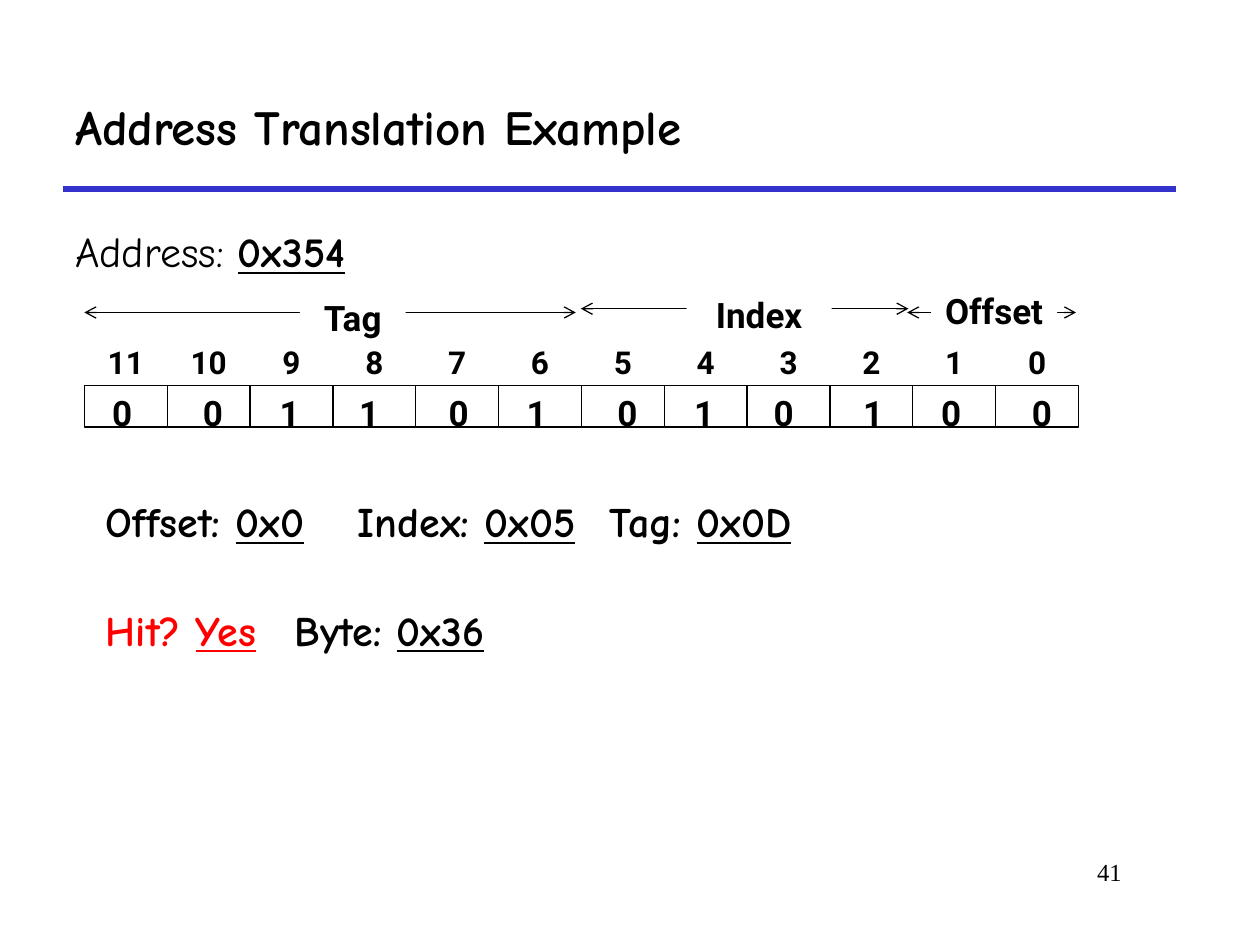
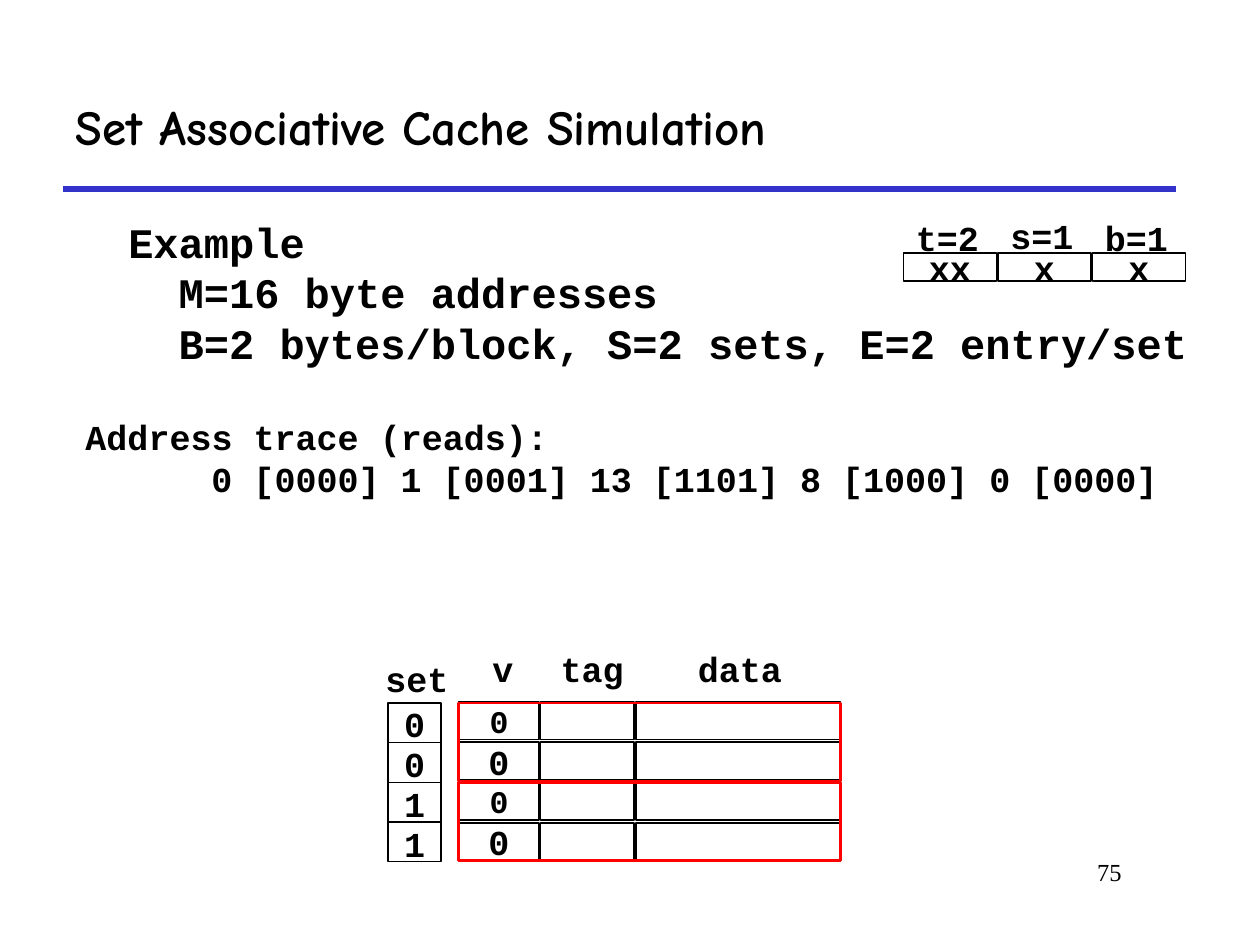
import pptx
import pptx.util
import pptx.dml.color
import pptx.enum.shapes
import pptx.enum.text
import lxml.etree
from pptx.oxml.ns import qn

Inches = pptx.util.Inches
Pt = pptx.util.Pt
ALIGN = pptx.enum.text.PP_ALIGN
MID = pptx.enum.text.MSO_ANCHOR.MIDDLE

BLACK, WHITE, BLUE, RED = "000000", "FFFFFF", "3333CC", "FF0000"
HAND, CODE, SANS, SERIF = "Comic Neue", "Courier New", "Roboto", "Times New Roman"

ADDRESS = [("Address: ", {"bold": False}), ("0x354", {"under": True})]
BITS = "001101010100"
BIT_LEFTS = [0.75, 1.47, 2.08, 2.71, 3.42, 4.04, 4.76, 5.37, 6, 6.71, 7.33, 8.05]
FIELDS = [
    ("Offset", 7.2, 8.54, 2.48, (7.39, 2.29, 1, 0.4)),
    ("Index", 4.61, 7.21, 2.45, (5.45, 2.32, 1.15, 0.4)),
    ("Tag", 0.67, 4.57, 2.48, (2.38, 2.34, 0.84, 0.4)),
]
ANSWERS = [
    ([("Offset: ", "0x0", BLACK), ("Index: ", "0x05", BLACK), ("Tag: ", "0x0D", BLACK)],
     {"tabs": [2.1, 4.32], "lead": 0.9}),
    ([("Hit? ", "Yes", RED), ("Byte: ", "0x36", BLACK)],
     {"tabs": [1.66], "lead": 0.9, "before": 36}),
]

SETUP = [("Example", 0), ("M=16 byte addresses", 0.4),
         ("B=2 bytes/block, S=2 sets, E=2 entry/set", 0.4)]
TRACE = [("Address trace (reads):", 0),
         ("0 [0000] 1 [0001] 13 [1101] 8 [1000] 0 [0000]", 1)]
PARTS = [("t=2", "xx", 1.67), ("s=1", "x", 1.65), ("b=1", "x", 1.67)]
HEADS = [("v", 3.81, 5.09, 0.37), ("tag", 4.35, 5.09, 0.71),
         ("data", 5.44, 5.09, 0.87), ("set", 2.96, 5.17, 0.71)]
COLUMNS = [(3.64, 0.64), (4.29, 0.74), (5.05, 1.62)]
SETS = ["0", "0", "1", "1"]
VALID = [("0", 18), ("0", 20), ("0", 18), ("0", 20)]


def color(code):
    return pptx.dml.color.RGBColor.from_string(code)


def place(spot):
    return [Inches(n) for n in spot]


def write(shape, paras, font, size, align=ALIGN.LEFT, anchor=None, wrap=True):
    frame = shape.text_frame
    frame.word_wrap = wrap
    frame.vertical_anchor = anchor or pptx.enum.text.MSO_ANCHOR.TOP
    for i, (runs, form) in enumerate(paras):
        para = frame.paragraphs[0] if i == 0 else frame.add_paragraph()
        para.alignment = align
        if "lead" in form:
            para.line_spacing = form["lead"]
        if "before" in form:
            para.space_before = Pt(form["before"])
        props = para._p.get_or_add_pPr()
        props.set("marL", str(Inches(form.get("left", 0))))
        props.set("indent", "0")
        if "tabs" in form:
            stops = lxml.etree.SubElement(props, qn("a:tabLst"))
            for stop in form["tabs"]:
                lxml.etree.SubElement(stops, qn("a:tab"), pos=str(Inches(stop)), algn="l")
        for words, style in runs:
            run = para.add_run()
            run.text = words
            run.font.name = font
            run.font.size = Pt(size)
            run.font.bold = style.get("bold", True)
            run.font.underline = style.get("under", False)
            run.font.color.rgb = color(style.get("ink", BLACK))


def text(slide, spot, paras, font, size, **more):
    box = slide.shapes.add_textbox(*place(spot))
    write(box, paras, font, size, **more)
    return box


def label(slide, spot, words, font, size, lead=1.0, **more):
    more.setdefault("wrap", False)
    return text(slide, spot, [([(words, {})], {"lead": lead})], font, size, **more)


def rect(slide, spot, fill=None, ink=BLACK, width=1):
    kind = pptx.enum.shapes.MSO_SHAPE.RECTANGLE
    box = slide.shapes.add_shape(kind, *place(spot))
    box.shadow.inherit = False
    if fill:
        box.fill.solid()
        box.fill.fore_color.rgb = color(fill)
    else:
        box.fill.background()
    if ink:
        box.line.color.rgb = color(ink)
        box.line.width = Pt(width)
    else:
        box.line.fill.background()
    return box


def cell(slide, spot, words="", size=20):
    box = rect(slide, spot, WHITE)
    if words:
        write(box, [([(words, {})], {})], CODE, size, ALIGN.CENTER, MID, False)


def line(slide, start, end, ink=BLACK, width=0.75, arrows=False):
    kind = pptx.enum.shapes.MSO_CONNECTOR.STRAIGHT
    rule = slide.shapes.add_connector(kind, *place(start + end))
    rule.line.color.rgb = color(ink)
    rule.line.width = Pt(width)
    if arrows:
        stroke = rule.line._get_or_add_ln()
        for tip in ("a:headEnd", "a:tailEnd"):
            lxml.etree.SubElement(stroke, qn(tip), type="arrow")
    lxml.etree.SubElement(rule._element.spPr, qn("a:effectLst"))
    return rule


def start(deck, title, number):
    slide = deck.slides.add_slide(deck.slide_layouts[6])
    line(slide, (0.5, 1.5), (9.33, 1.5), BLUE, 3)
    text(slide, (7.58, 6.75, 1.42, 0.5), [([(number, {"bold": False})], {})],
         SERIF, 14, align=ALIGN.RIGHT)
    label(slide, (0.5, 0.5, 8.83, 1), title, HAND, 28, anchor=MID, wrap=True)
    return slide


def address(deck):
    slide = start(deck, "Address Translation Example", "41")
    text(slide, (0.5, 1.58, 2.73, 0.61), [(ADDRESS, {"lead": 1.4})], HAND, 24)
    wide = 7.89 / len(BITS)
    for i in range(len(BITS)):
        left = 0.67 + i * wide
        rect(slide, (left, 3.06, wide, 0.33), width=0.75)
        label(slide, (left, 2.73, wide, 0.33), str(len(BITS) - 1 - i), SANS, 18,
              lead=0.9, align=ALIGN.CENTER, anchor=MID)
    for name, left, right, top, spot in FIELDS:
        line(slide, (left, top), (right, top), arrows=True)
        tag = rect(slide, spot, WHITE, None)
        write(tag, [([(name, {})], {"lead": 0.9})], SANS, 20, ALIGN.CENTER, wrap=False)
    for bit, left in zip(BITS, BIT_LEFTS):
        label(slide, (left, 3.06, 0.44, 0.44), bit, SANS, 20, align=ALIGN.CENTER)
    paras = []
    for pairs, form in ANSWERS:
        runs = []
        for i, (name, value, ink) in enumerate(pairs):
            runs.append(("\t" * (i > 0) + name, {"ink": ink}))
            runs.append((value, {"ink": ink, "under": True}))
        paras.append((runs, form))
    box = text(slide, (0.54, 3.93, 8.48, 1.35), paras, HAND, 24)
    box.text_frame.margin_left = Inches(0.3)


def cache(deck):
    slide = start(deck, "Set Associative Cache Simulation", "75")
    for spot, rows, size in [((0.92, 1.67, 8.67, 1.33), SETUP, 24),
                             ((0.58, 3.25, 9.08, 0.77), TRACE, 20)]:
        paras = [([(words, {})], {"left": left}) for words, left in rows]
        text(slide, spot, paras, CODE, size)

    for i, (name, value, top) in enumerate(PARTS):
        left = 7.17 + i * 0.75
        cell(slide, (left, 2.01, 0.74, 0.22), value)
        label(slide, (left, top, 0.7, 0.43), name, CODE, 20)

    for name, left, top, wide in HEADS:
        label(slide, (left, top, wide, 0.43), name, CODE, 20)
    for i, (flag, size) in enumerate(VALID):
        for j, (left, wide) in enumerate(COLUMNS):
            cell(slide, (left, 5.57 + i * 0.32, wide, 0.3), flag if j == 0 else "", size)
    for top in (5.58, 6.21):
        rect(slide, (3.64, top, 3.03, 0.62), ink=RED, width=1.5)

    step = 1.26 / len(SETS)
    frame = rect(slide, (3.08, 5.58, 0.42, 1.26), width=0.75)
    for i, name in enumerate(SETS):
        top = 5.58 + i * step
        if i:
            rule = line(slide, (3.08, top), (3.5, top))
            if i * 2 == len(SETS):
                rule.begin_connect(frame, 1)
                rule.end_connect(frame, 3)
        label(slide, (3.08, top - 0.05, 0.42, 0.43), name, CODE, 20, align=ALIGN.CENTER)


def main():
    deck = pptx.Presentation()
    deck.slide_width, deck.slide_height = Inches(10), Inches(7.5)
    address(deck)
    cache(deck)
    deck.save("out.pptx")


if __name__ == "__main__":
    main()
